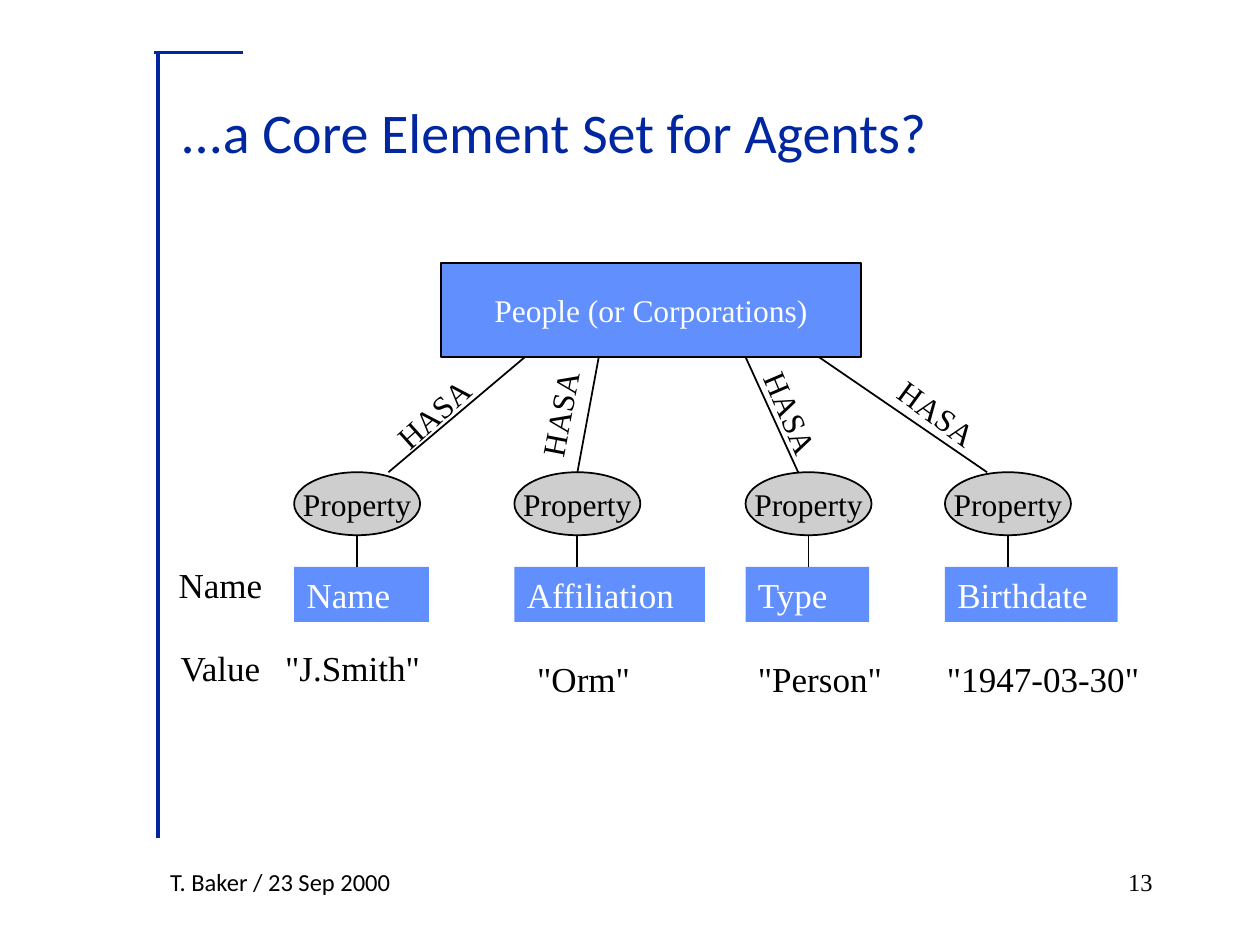
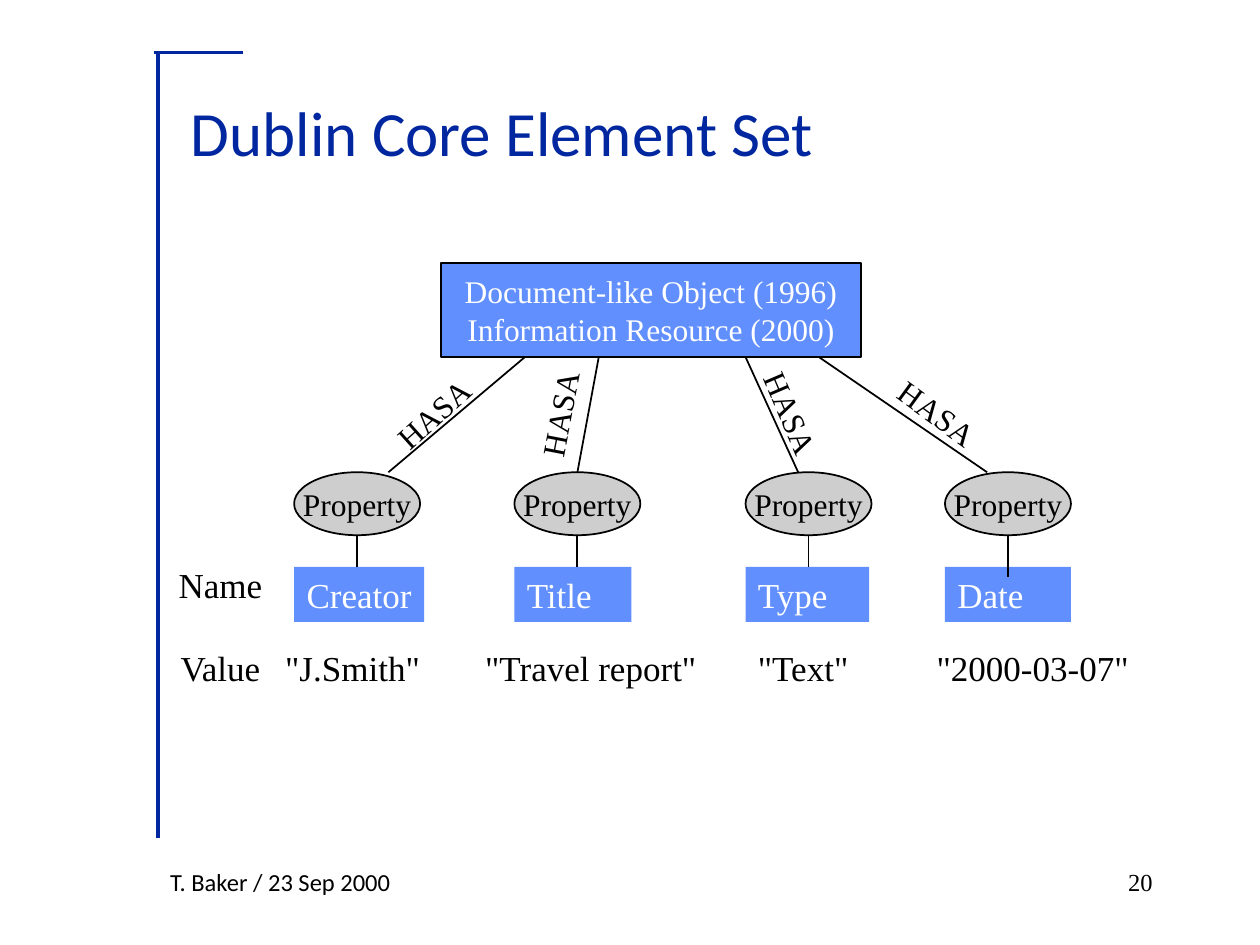
import dataclasses

import lxml.etree
import pptx
import pptx.dml.color
import pptx.enum.shapes
import pptx.enum.text
import pptx.oxml.ns
import pptx.util

Cm = pptx.util.Cm
Align = pptx.enum.text.PP_ALIGN
Anchor = pptx.enum.text.MSO_ANCHOR
AutoSize = pptx.enum.text.MSO_AUTO_SIZE
Preset = pptx.enum.shapes.MSO_SHAPE

COLORS = {"navy": "00279F", "blue": "618FFD", "grey": "CECECE",
          "black": "000000", "white": "FFFFFF"}
SANS, SERIF = "Calibri", "Times New Roman"

# Vertical layout of the diagram, in centimetres
ENTITY_TOP, ENTITY_HEIGHT = 5.3, 1.9
OVAL_TOP, OVAL_WIDTH, OVAL_HEIGHT = 9.52, 2.54, 1.27
NAME_TOP, TEXT_HEIGHT = 11.43, 1.11
VALUE_TOP = 12.91


@dataclasses.dataclass(frozen=True)
class Box:
    left: float
    top: float
    width: float
    height: float

    def lengths(self) -> tuple:
        return Cm(self.left), Cm(self.top), Cm(self.width), Cm(self.height)


@dataclasses.dataclass(frozen=True)
class TextStyle:
    size: int
    color: str = "black"
    font: str = SERIF
    align: Align = Align.LEFT
    anchor: Anchor = Anchor.TOP
    wrap: bool = False
    fit: AutoSize = AutoSize.SHAPE_TO_FIT_TEXT
    margin_right: float = 0.25


@dataclasses.dataclass(frozen=True)
class Branch:
    """A property column and the link that joins it to the entity."""
    left: float
    link_start: float
    link_end: float
    hasa_left: float
    hasa_rotation: float


@dataclasses.dataclass(frozen=True)
class Property:
    name: str
    name_width: float
    value: str
    value_left: float
    value_width: float
    value_top: float = VALUE_TOP
    stem_end: float = NAME_TOP


@dataclasses.dataclass(frozen=True)
class ElementSet:
    title: str
    title_box: Box
    title_size: int
    entity_lines: tuple
    properties: tuple
    page: str


LABEL = TextStyle(20, fit=AutoSize.NONE, margin_right=0)
NAME = TextStyle(20, "white")
HASA = TextStyle(18)
OVAL = TextStyle(18, align=Align.CENTER, anchor=Anchor.MIDDLE, fit=AutoSize.NONE)
ENTITY = dataclasses.replace(OVAL, color="white")
FOOTER = TextStyle(14, font=SANS, wrap=True)
PAGE = TextStyle(14, align=Align.RIGHT, wrap=True, fit=AutoSize.NONE)
# A fixed width keeps each label on its left edge
LABEL = dataclasses.replace(LABEL, wrap=True)

BRANCHES = (
    Branch(5.93, 7.83, 10.58, 7.62, 318.1),
    Branch(10.37, 11.64, 12.07, 10.16, 280.9),
    Branch(15.03, 16.09, 15.03, 14.83, 66.9),
    Branch(19.05, 19.9, 16.51, 17.78, 36.1),
)

LOWER_VALUE = 13.12
ELEMENT_SETS = (
    ElementSet(
        "...a Core Element Set for Agents?", Box(3.39, 1.06, 20.52, 3.18), 32,
        ("People (or Corporations)",),
        (Property("Name", 2.72, '"J.Smith"', 5.5, 3.23),
         Property("Affiliation", 3.84, '"Orm"', 10.58, 2.41, LOWER_VALUE),
         Property("Type", 2.49, '"Person"', 15.03, 3, LOWER_VALUE),
         Property("Birthdate", 3.48, '"1947-03-30"', 18.84, 4.37, LOWER_VALUE)),
        "13"),
    ElementSet(
        "Dublin Core Element Set", Box(3.6, 1.69, 20.52, 1.91), 36,
        ("Document-like Object (1996)", "Information Resource (2000)"),
        (Property("Creator", 2.62, '"J.Smith"', 5.5, 3.23),
         Property("Title", 2.36, '"Travel report"', 9.53, 4.8),
         Property("Type", 2.49, '"Text"', 15.03, 2.39),
         Property("Date", 2.54, '"2000-03-07"', 18.63, 4.37, stem_end=11.64)),
        "20"),
)


def rgb(name: str) -> pptx.dml.color.RGBColor:
    return pptx.dml.color.RGBColor.from_string(COLORS[name])


def write(shape, lines: tuple, style: TextStyle) -> None:
    frame = shape.text_frame
    frame.word_wrap = style.wrap
    frame.auto_size = style.fit
    frame.vertical_anchor = style.anchor
    frame.margin_left, frame.margin_right = Cm(0.25), Cm(style.margin_right)
    frame.margin_top = frame.margin_bottom = Cm(0.13)
    for index, line in enumerate(lines):
        paragraph = frame.add_paragraph() if index else frame.paragraphs[0]
        paragraph.alignment = style.align
        run = paragraph.add_run()
        run.text = line
        run.font.name = style.font
        run.font.size = pptx.util.Pt(style.size)
        run.font.color.rgb = rgb(style.color)


def add_text(slide, box: Box, text: str, style: TextStyle, rotation: float = 0) -> None:
    shape = slide.shapes.add_textbox(*box.lengths())
    shape.rotation = rotation
    write(shape, (text,), style)


def add_block(slide, preset: Preset, box: Box, fill: str, lines: tuple,
              style: TextStyle, outlined: bool = True) -> None:
    shape = slide.shapes.add_shape(preset, *box.lengths())
    shape.shadow.inherit = False
    shape.fill.solid()
    shape.fill.fore_color.rgb = rgb(fill)
    if outlined:
        shape.line.color.rgb = rgb("black")
        shape.line.width = pptx.util.Pt(1)
    else:
        shape.line.fill.background()
    write(shape, lines, style)


def add_line(slide, start: tuple, end: tuple, color: str = "black", width: float = 1) -> None:
    points = [Cm(value) for value in (*start, *end)]
    line = slide.shapes.add_connector(pptx.enum.shapes.MSO_CONNECTOR.STRAIGHT, *points)
    line.line.color.rgb = rgb(color)
    line.line.width = pptx.util.Pt(width)
    properties = line.element.find(pptx.oxml.ns.qn("p:spPr"))
    lxml.etree.SubElement(properties, pptx.oxml.ns.qn("a:effectLst"))


def add_frame(slide, element_set: ElementSet) -> None:
    # Corner rules
    add_line(slide, (4.9, 1.06), (3.1, 1.06), "navy", 2)
    add_line(slide, (3.18, 1.09), (3.18, 16.89), "navy", 2)
    # Title
    title = slide.shapes.title
    title.left, title.top, title.width, title.height = element_set.title_box.lengths()
    write(title, (element_set.title,),
          TextStyle(element_set.title_size, "navy", SANS, anchor=Anchor.MIDDLE,
                    wrap=True, fit=AutoSize.NONE))
    # Footer and page number
    add_text(slide, Box(3.18, 17.35, 6.55, 0.84), "T. Baker / 23 Sep 2000", FOOTER)
    add_text(slide, Box(18.21, 17.35, 5.28, 1.27), element_set.page, PAGE)


def add_branch(slide, branch: Branch, prop: Property) -> None:
    # Link from the property up to the entity
    add_line(slide, (branch.link_start, OVAL_TOP),
             (branch.link_end, ENTITY_TOP + ENTITY_HEIGHT))
    add_text(slide, Box(branch.hasa_left, 7.82, 2.24, 1.02), "HASA", HASA,
             branch.hasa_rotation)
    # Property with its name and value
    add_block(slide, Preset.OVAL, Box(branch.left, OVAL_TOP, OVAL_WIDTH, OVAL_HEIGHT),
              "grey", ("Property",), OVAL)
    add_block(slide, Preset.RECTANGLE,
              Box(branch.left, NAME_TOP, prop.name_width, TEXT_HEIGHT),
              "blue", (prop.name,), NAME, outlined=False)
    center = branch.left + OVAL_WIDTH / 2
    add_line(slide, (center, OVAL_TOP + OVAL_HEIGHT), (center, prop.stem_end))
    add_text(slide, Box(prop.value_left, prop.value_top, prop.value_width, TEXT_HEIGHT),
             prop.value, LABEL)


def add_element_set(presentation, element_set: ElementSet) -> None:
    title_only = presentation.slide_layouts[5]
    slide = presentation.slides.add_slide(title_only)
    add_frame(slide, element_set)
    add_block(slide, Preset.RECTANGLE, Box(8.89, ENTITY_TOP, 8.47, ENTITY_HEIGHT),
              "blue", element_set.entity_lines, ENTITY)
    # Row labels
    add_text(slide, Box(3.35, 11.22, 2.18, TEXT_HEIGHT), "Name", LABEL)
    add_text(slide, Box(3.39, VALUE_TOP, 2.18, TEXT_HEIGHT), "Value", LABEL)
    for branch, prop in zip(BRANCHES, element_set.properties):
        add_branch(slide, branch, prop)


def main() -> None:
    presentation = pptx.Presentation()
    presentation.slide_width, presentation.slide_height = Cm(25.4), Cm(19.05)
    for element_set in ELEMENT_SETS:
        add_element_set(presentation, element_set)
    presentation.save("out.pptx")


if __name__ == "__main__":
    main()
